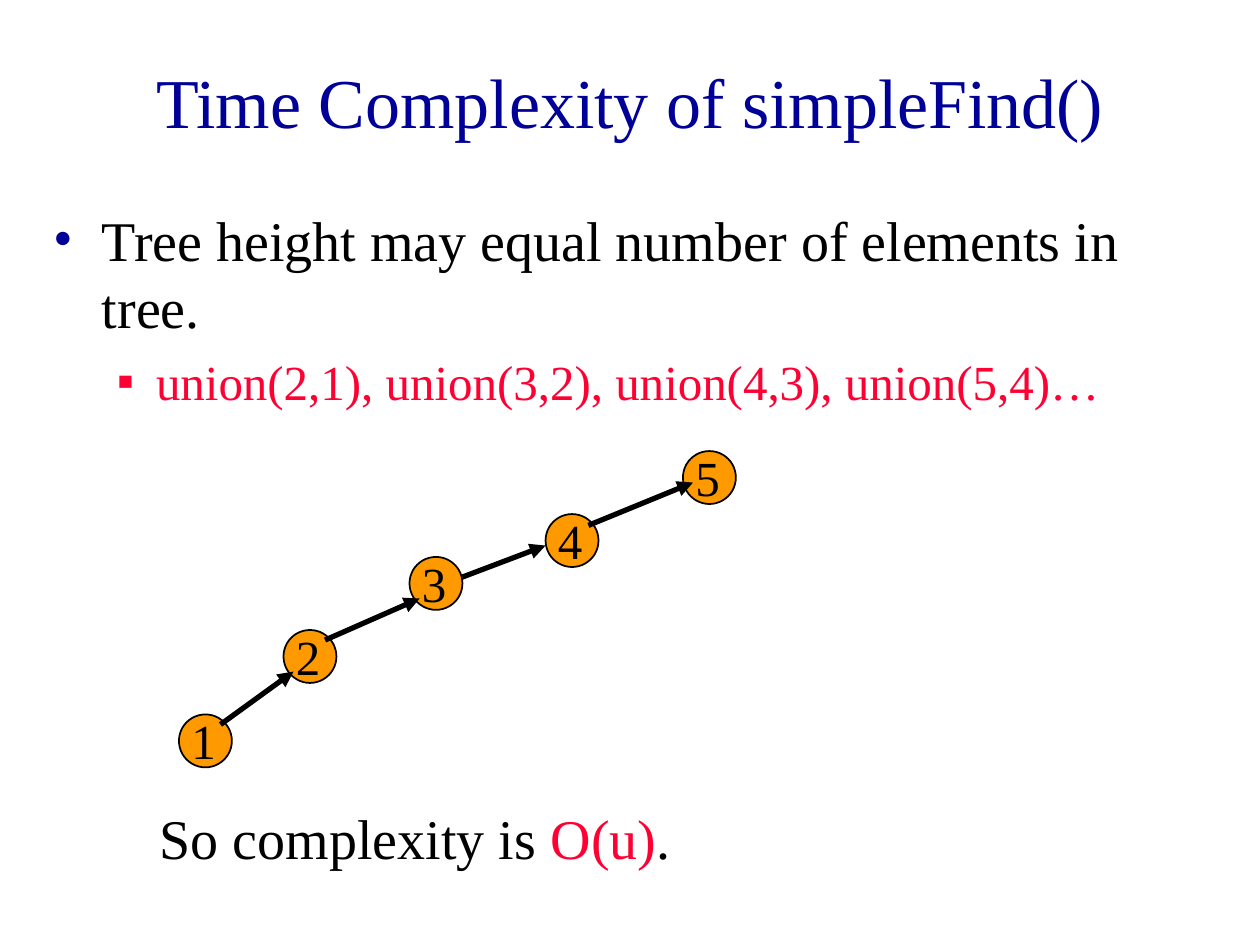
import pptx
import pptx.dml.color
import pptx.enum.shapes
import pptx.enum.text
import pptx.oxml
import pptx.oxml.ns
import pptx.util

Inches = pptx.util.Inches
Pt = pptx.util.Pt


def color(value):
    return pptx.dml.color.RGBColor.from_string(value)


class TreeSlide:
    font = "Times New Roman"
    navy, black, red, orange = "000099", "000000", "FF0033", "FF9900"
    diameter = 0.42

    def __init__(self, slide):
        self.slide = slide

    def text_box(self, left, top, width, height, parent=None):
        shapes = (parent or self.slide).shapes
        frame = shapes.add_textbox(
            Inches(left), Inches(top), Inches(width), Inches(height)
        ).text_frame
        frame.word_wrap = True
        return frame

    def add_runs(self, paragraph, size, *pieces):
        for words, ink in pieces:
            run = paragraph.add_run()
            run.text = words
            run.font.name = self.font
            run.font.size = Pt(size)
            run.font.color.rgb = color(ink)

    def bullet(self, paragraph, symbol, ink, left, hanging):
        properties = paragraph._p.get_or_add_pPr()
        properties.set("marL", str(Inches(left)))
        properties.set("indent", str(-Inches(hanging)))
        namespace = pptx.oxml.ns.nsdecls("a")
        for xml in (
            f'<a:buClr {namespace}><a:srgbClr val="{ink}"/></a:buClr>',
            f'<a:buFont {namespace} typeface="{self.font}"/>',
            f'<a:buChar {namespace} char="{symbol}"/>',
        ):
            properties.append(pptx.oxml.parse_xml(xml))

    def node(self, group, label, left, top):
        circle = group.shapes.add_shape(
            pptx.enum.shapes.MSO_SHAPE.OVAL,
            Inches(left), Inches(top), Inches(self.diameter), Inches(self.diameter),
        )
        circle.shadow.inherit = False
        circle.fill.solid()
        circle.fill.fore_color.rgb = color(self.orange)
        circle.line.color.rgb = color(self.black)
        circle.line.width = Pt(1)
        number = self.text_box(left, top - 0.08, 0.83, 0.57, group)
        self.add_runs(number.paragraphs[0], 28, (label, self.black))

    def arrow(self, group, start, end):
        link = group.shapes.add_connector(
            pptx.enum.shapes.MSO_CONNECTOR.STRAIGHT,
            *(Inches(length) for length in (*start, *end)),
        )
        link.line.color.rgb = color(self.black)
        link.line.width = Pt(3)
        namespace = pptx.oxml.ns.nsdecls("a")
        link.line._get_or_add_ln().append(
            pptx.oxml.parse_xml(f'<a:tailEnd {namespace} type="triangle"/>')
        )
        link._element.spPr.append(pptx.oxml.parse_xml(f"<a:effectLst {namespace}/>"))


def main():
    deck = pptx.Presentation()
    deck.slide_width, deck.slide_height = Inches(10), Inches(7.5)
    page = TreeSlide(deck.slides.add_slide(deck.slide_layouts[6]))

    title = page.text_box(0.75, 0.17, 8.5, 1.25)
    title.vertical_anchor = pptx.enum.text.MSO_ANCHOR.MIDDLE
    title.paragraphs[0].alignment = pptx.enum.text.PP_ALIGN.CENTER
    page.add_runs(
        title.paragraphs[0], 40, ("Time Complexity of simpleFind()", page.navy)
    )

    body = page.text_box(0.33, 1.58, 9.25, 1.92)
    height_claim = body.paragraphs[0]
    page.bullet(height_claim, "•", page.navy, 0.38, 0.38)
    page.add_runs(
        height_claim, 32,
        ("Tree height may equal number of elements in tree.", page.black),
    )
    unions = body.add_paragraph()
    unions.level = 1
    unions.space_before = Pt(7)
    page.bullet(unions, "▪", page.red, 0.81, 0.31)
    page.add_runs(
        unions, 28, ("union(2,1), union(3,2), union(4,3), union(5,4)…", page.red)
    )

    nodes = [(1.42, 5.67), (2.25, 5), (3.25, 4.42), (4.33, 4.08), (5.42, 3.58)]
    links = [
        ((1.75, 5.75), (2.33, 5.33)),
        ((2.58, 5.08), (3.33, 4.75)),
        ((3.67, 4.58), (4.33, 4.33)),
        ((4.67, 4.17), (5.5, 3.83)),
    ]
    groups = [page.slide.shapes.add_group_shape() for _ in links]
    for index, place in enumerate(nodes):
        page.node(groups[max(index - 1, 0)], str(index + 1), *place)
    for group, (start, end) in zip(groups, links):
        page.arrow(group, start, end)

    conclusion = page.text_box(1.17, 6.33, 8.08, 0.64)
    page.add_runs(
        conclusion.paragraphs[0], 32,
        ("So complexity is ", page.black), ("O(u)", page.red), (".", page.black),
    )
    deck.save("out.pptx")


if __name__ == "__main__":
    main()
